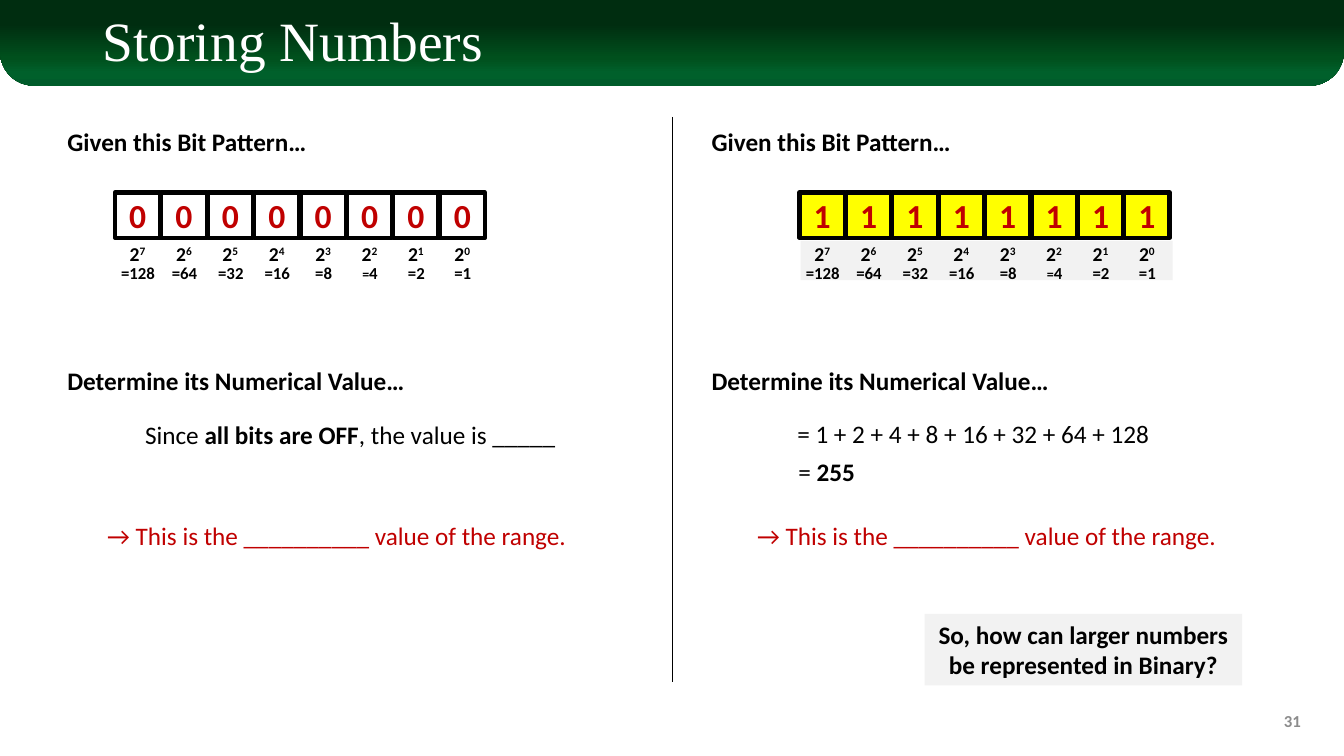
from lxml import etree
from pptx import Presentation
from pptx.dml.color import RGBColor
from pptx.enum.shapes import MSO_CONNECTOR, MSO_SHAPE
from pptx.enum.text import MSO_ANCHOR, PP_ALIGN
from pptx.oxml.ns import qn
from pptx.util import Inches, Pt

BLACK = RGBColor(0x00, 0x00, 0x00)
WHITE = RGBColor(0xFF, 0xFF, 0xFF)
RED = RGBColor(0xC0, 0x00, 0x00)
YELLOW = RGBColor(0xFF, 0xFF, 0x00)
PALE_GRAY = RGBColor(0xF2, 0xF2, 0xF2)
PAGE_GRAY = RGBColor(0x8C, 0x8C, 0x8C)
BANNER_STOPS = [
    (0, RGBColor(0x00, 0x2D, 0x10)),
    (28, RGBColor(0x00, 0x2D, 0x10)),
    (68, RGBColor(0x00, 0x50, 0x1D)),
    (85, RGBColor(0x00, 0x60, 0x2B)),
    (100, RGBColor(0x00, 0x5C, 0x2B)),
]
LEFT, CENTER, RIGHT = PP_ALIGN.LEFT, PP_ALIGN.CENTER, PP_ALIGN.RIGHT
TOP, MIDDLE = MSO_ANCHOR.TOP, MSO_ANCHOR.MIDDLE

presentation = Presentation()
presentation.slide_width = Inches(13.33)
presentation.slide_height = Inches(7.5)
slide = presentation.slides.add_slide(presentation.slide_layouts[6])


def add_box(left, top, width, height, kind=MSO_SHAPE.RECTANGLE, fill=None, line=None):
    shape = slide.shapes.add_shape(
        kind, Inches(left), Inches(top), Inches(width), Inches(height))
    shape.shadow.inherit = False
    if fill is None:
        shape.fill.background()
    else:
        shape.fill.solid()
        shape.fill.fore_color.rgb = fill
    if line is None:
        shape.line.fill.background()
    else:
        shape.line.color.rgb = line
        shape.line.width = Pt(3)
    return shape


def write(place, runs, align=LEFT, anchor=TOP, wrap=False, color=BLACK, **base):
    shape = place
    if isinstance(place, tuple):
        shape = slide.shapes.add_textbox(*[Inches(length) for length in place])
    frame = shape.text_frame
    frame.word_wrap = wrap
    frame.vertical_anchor = anchor
    paragraph = frame.paragraphs[0]
    paragraph.alignment = align
    for text, changes in runs:
        run = paragraph.add_run()
        run.text = text
        run.font.color.rgb = color
        look = {"name": "Calibri", "size": 18, "bold": False, **base, **changes}
        look["size"] = Pt(look["size"])
        raised = look.pop("raised", False)
        for name, value in look.items():
            setattr(run.font, name, value)
        if raised:
            run.font._element.set("baseline", "30000")
    return frame


banner = add_box(0, 0, 13.33, 0.85, MSO_SHAPE.ROUND_2_SAME_RECTANGLE)
banner.adjustments[0] = 0
banner.adjustments[1] = 0.4
banner.fill.gradient()
banner.fill.gradient_angle = 270
stop_list = banner._element.spPr.find(qn("a:gradFill")).find(qn("a:gsLst"))
for stop in list(stop_list):
    stop_list.remove(stop)
for percent, color in BANNER_STOPS:
    stop = etree.SubElement(stop_list, qn("a:gs"), pos=str(percent * 1000))
    etree.SubElement(stop, qn("a:srgbClr"), val=str(color))

title = write((0.92, 0.13, 11.5, 0.61), [("Storing Numbers", {})], anchor=MIDDLE,
              wrap=True, color=WHITE, name="Times New Roman", size=39.6)
title.paragraphs[0].line_spacing = 0.9
write((10, 6.95, 3, 0.4), [("31", {})], RIGHT, MIDDLE, True, PAGE_GRAY, size=12, bold=True)

divider = slide.shapes.add_connector(
    MSO_CONNECTOR.STRAIGHT, Inches(6.67), Inches(1.16), Inches(6.67), Inches(6.77))
divider.line.color.rgb = BLACK
divider.line.width = Pt(0.5)
etree.SubElement(divider._element.spPr, qn("a:effectLst"))

add_box(7.94, 2.39, 3.69, 0.39, fill=PALE_GRAY)

CELL, PITCH = 0.45, 0.46
for digit, row_left, cell_fill, heading_left, range_box in [
    ("0", 1.14, None, 0.57, (0.86, 5.11, 4.96, 0.4)),
    ("1", 7.93, YELLOW, 6.96, (7.37, 5.11, 4.83, 0.4)),
]:
    write((heading_left, 1.2, 2.6, 0.4), [("Given this Bit Pattern…", {})], bold=True)
    for column in range(8):
        power = 7 - column
        cell_left = row_left + column * PITCH
        cell = add_box(cell_left, 1.91, CELL, CELL, fill=cell_fill, line=BLACK)
        write(cell, [(digit, {})], CENTER, MIDDLE, color=RED, size=24, bold=True)
        write((cell_left + 0.04, 2.35, 0.37, 0.34),
              [("2", {}), (str(power), {"raised": True})], CENTER, size=14, bold=True)
        equals_size = 10 if power == 2 else 12
        write((cell_left - 0.04, 2.56, 0.54, 0.3),
              [("=", {"size": equals_size}), (str(2 ** power), {})],
              CENTER, size=12, bold=True)
    write((heading_left, 3.58, 3.57, 0.4), [("Determine its Numerical Value…", {})], bold=True)
    write(range_box, [("→ This is the __________ value of the range.", {})],
          CENTER, color=RED)

write((1.34, 4.11, 4.34, 0.4),
      [("Since ", {}), ("all bits are OFF", {"bold": True}), (", the value is _____", {})])
write((7.81, 4.1, 3.74, 0.4), [("= 1 + 2 + 4 + 8 + 16 + 32 + 64 + 128", {})])
write((7.82, 4.48, 0.77, 0.4), [("= ", {}), ("255", {"bold": True})])

question = add_box(9.17, 6.09, 3.15, 0.71, fill=PALE_GRAY)
write(question, [("So, how can larger numbers be represented in Binary?", {})],
      CENTER, wrap=True, bold=True)

presentation.save("out.pptx")
